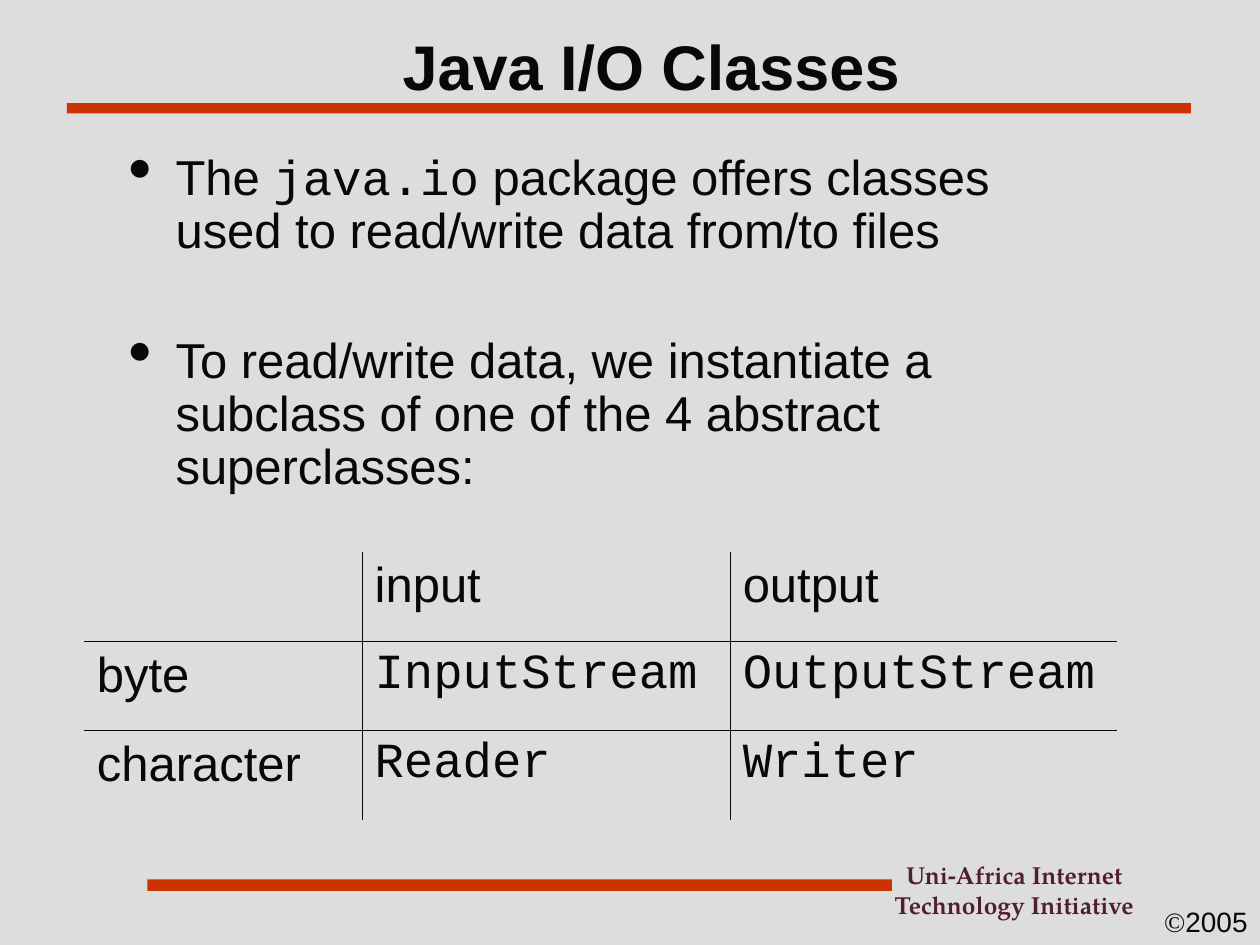
from pptx import Presentation
from pptx.dml.color import RGBColor as RGB
from pptx.enum.shapes import MSO_SHAPE as Shape
from pptx.enum.text import MSO_ANCHOR as Anchor, PP_ALIGN as Align
from pptx.oxml.xmlchemy import OxmlElement as Element
from pptx.util import Cm, Pt

THEME = {
    "bg": "DDDDDD", "ink": "080808", "bar": "CC3300", "credit": "511D30",
    "sans": "Arial", "mono": "Courier New", "serif": "Times New Roman",
    "credit_font": "TeX Gyre Pagella",
    "title": 36, "body": 28, "credit_size": 14, "year": 16, "border": 0.45,
}
TITLE = "Java I/O Classes"
BULLETS = [
    (7, [("The ", "sans"), ("java.io", "mono"),
         (" package offers classes used to read/write data from/to files", "sans")]),
    (44, [("To read/write data, we instantiate a subclass of one of the "
           "4 abstract superclasses:", "sans")]),
]
CLASSES = [
    ["", "input", "output"],
    ["byte", "InputStream", "OutputStream"],
    ["character", "Reader", "Writer"],
]
COLUMNS, ROW = [5.6, 7.42, 7.8], 1.8
CREDIT = "Uni-Africa Internet Technology Initiative"
YEAR = [("©", "serif"), ("2005", "sans")]
BARS = [(2.97, 17.73, 15.01, 0.23), (1.35, 2.08, 22.66, 0.21)]


def add_run(p, text, font, size="body", color="ink", bold=False):
    """Append one styled run to a paragraph."""
    r = p.add_run()
    r.text = text
    r.font.name, r.font.size, r.font.bold = THEME[font], Pt(THEME[size]), bold
    r.font.color.rgb = RGB.from_string(THEME[color])


def add_text(s, box, wrap=True):
    """Add a text box and return its text frame."""
    tf = s.shapes.add_textbox(*map(Cm, box)).text_frame
    tf.word_wrap = wrap
    return tf


def add_bullet(p):
    """Give a paragraph a hanging round bullet."""
    pPr = p._p.get_or_add_pPr()
    pPr.set("marL", str(Cm(0.95)))
    pPr.set("indent", str(-Cm(0.95)))
    color = Element("a:buClr")
    rgb = Element("a:srgbClr")
    rgb.set("val", THEME["ink"])
    color.append(rgb)
    size = Element("a:buSzPct")
    size.set("val", "140000")
    char = Element("a:buChar")
    char.set("char", "•")
    pPr.extend([color, size, char])


def set_borders(cell, edges):
    """Draw the chosen cell edges and clear the others."""
    tcPr = cell._tc.get_or_add_tcPr()
    for edge, shown in edges.items():
        ln = Element(f"a:ln{edge}")
        ln.set("w", str(Pt(THEME["border"])))
        fill = Element("a:solidFill" if shown else "a:noFill")
        if shown:
            rgb = Element("a:srgbClr")
            rgb.set("val", THEME["ink"])
            fill.append(rgb)
        ln.append(fill)
        tcPr.append(ln)


def add_classes(s):
    """Add the table with inner rules only."""
    rows, cols = len(CLASSES), len(COLUMNS)
    table = s.shapes.add_table(rows, cols, Cm(1.7), Cm(11.13),
                               Cm(sum(COLUMNS)), Cm(ROW * rows)).table
    table.first_row = table.horz_banding = False
    for column, width in zip(table.columns, COLUMNS):
        column.width = Cm(width)
    for i, texts in enumerate(CLASSES):
        table.rows[i].height = Cm(ROW)
        for j, text in enumerate(texts):
            cell = table.cell(i, j)
            set_borders(cell, {"L": j > 0, "R": j < cols - 1,
                               "T": i > 0, "B": i < rows - 1})
            cell.fill.background()
            if text:
                p = cell.text_frame.paragraphs[0]
                p.space_before = Pt(7)
                add_run(p, text, "mono" if i and j else "sans")


def main():
    """Build the slide and save it."""
    prs = Presentation()
    prs.slide_width, prs.slide_height = Cm(25.4), Cm(19.05)
    s = prs.slides.add_slide(prs.slide_layouts[6])
    s.background.fill.solid()
    s.background.fill.fore_color.rgb = RGB.from_string(THEME["bg"])

    p = add_text(s, (23.22, 18.11, 2.18, 0.94), wrap=False).paragraphs[0]
    for text, font in YEAR:
        add_run(p, text, font, "year")

    p = add_text(s, (16.69, 17.22, 7.52, 1.45)).paragraphs[0]
    p.alignment = Align.CENTER
    add_run(p, CREDIT, "credit_font", "credit_size", "credit", True)

    for box in BARS:
        sp = s.shapes.add_shape(Shape.RECTANGLE, *map(Cm, box))
        sp.shadow.inherit = False
        sp.fill.solid()
        sp.fill.fore_color.rgb = RGB.from_string(THEME["bar"])
        sp.line.fill.background()

    tf = add_text(s, (1.8, 0.43, 22.66, 1.78))
    tf.vertical_anchor = Anchor.MIDDLE
    p = tf.paragraphs[0]
    p.alignment = Align.CENTER
    add_run(p, TITLE, "sans", "title", bold=True)

    tf = add_text(s, (2.34, 2.97, 19.38, 7.57))
    for i, (gap, runs) in enumerate(BULLETS):
        p = tf.add_paragraph() if i else tf.paragraphs[0]
        p.line_spacing, p.space_before = 0.9, Pt(gap)
        add_bullet(p)
        for text, font in runs:
            add_run(p, text, font)

    add_classes(s)
    prs.save("out.pptx")


if __name__ == "__main__":
    main()
